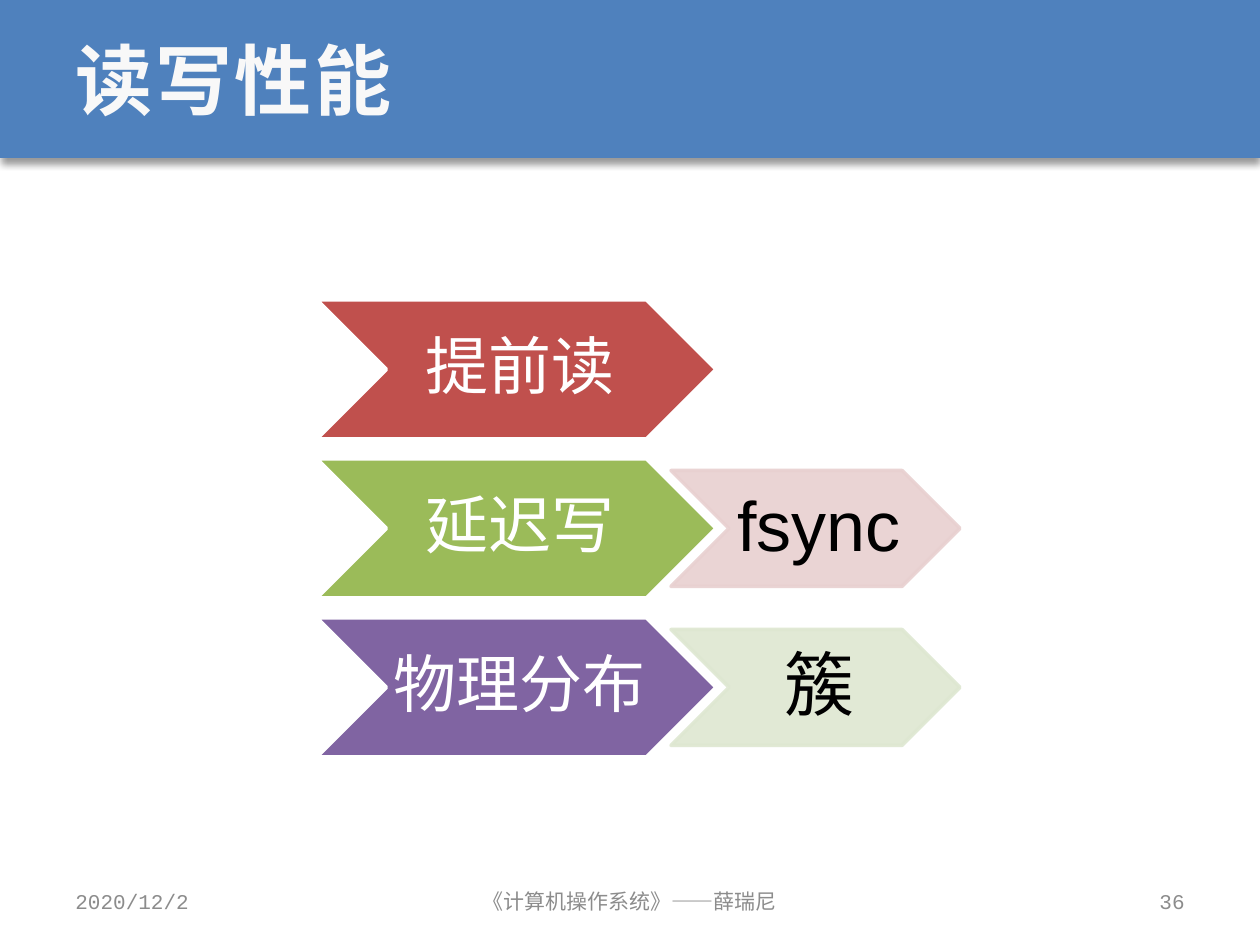
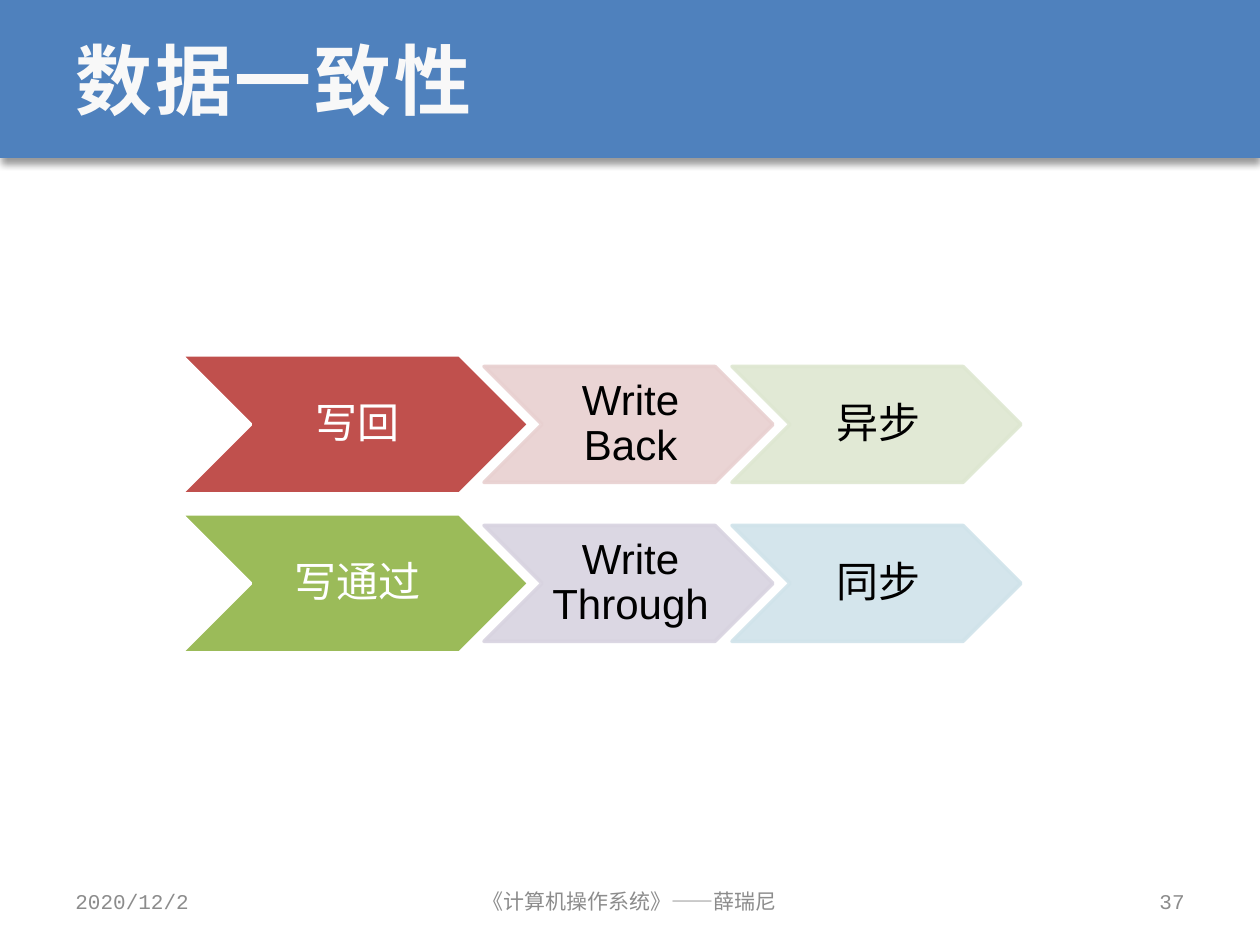
from lxml import etree
from pptx import Presentation
from pptx.dml.color import RGBColor
from pptx.enum.shapes import MSO_SHAPE as Shape
from pptx.enum.text import MSO_ANCHOR as Anchor, PP_ALIGN as Align
from pptx.oxml import parse_xml
from pptx.oxml.ns import nsdecls, qn
from pptx.util import Emu, Pt

COLORS = {
    "band": "4F81BD", "title": "F8F8F8", "footer": "8C8C8C",
    "white": "FFFFFF", "black": "000000",
    "red": "C0504D", "green": "9BBB59", "purple": "8064A2",
    "pale_red": "E8D0D0", "pale_green": "DEE7D1",
    "pale_purple": "D8D3E0", "pale_blue": "D0E3EA",
}
PX_PER_INCH = 126
SLIDE_W, SLIDE_H = 1260, 945
BAND_H, MARGIN = 158, 63
HEAD_H, DETAIL_W, DETAIL_H = 139, 289, 116
ROW_STEP = 159
HEAD_OVERLAP, DETAIL_OVERLAP = 45, 41

TITLE_FONT = {"name": "Courier New", "size": Pt(44), "bold": True}
FOOTER_FONT = {"name": "Courier New", "size": Pt(12)}
BAND_SHADOW = (
    f'<a:effectLst {nsdecls("a")}>'
    '<a:outerShdw blurRad="50800" dist="38100" dir="5400000" rotWithShape="0">'
    f'<a:srgbClr val="{COLORS["black"]}"><a:alpha val="40000"/></a:srgbClr>'
    '</a:outerShdw></a:effectLst>'
)


def px(n):
    return Emu(round(n * 914400 / PX_PER_INCH))


def rgb(name):
    return RGBColor.from_string(COLORS[name])


def set_attrs(obj, values):
    for key, value in values.items():
        setattr(obj, key, value)


def place(shape, box):
    set_attrs(shape, dict(zip(("left", "top", "width", "height"), map(px, box))))


def write(tf, text, font, color, align):
    tf.word_wrap = True
    tf.vertical_anchor = Anchor.MIDDLE
    p = tf.paragraphs[0]
    p.alignment = align
    r = p.add_run()
    r.text = text
    set_attrs(r.font, font)
    r.font.color.rgb = rgb(color)
    return r


def set_alpha(fill_parent, percent):
    """Make the solid colour below fill_parent partly transparent."""
    color = fill_parent.find(qn("a:solidFill")).find(qn("a:srgbClr"))
    etree.SubElement(color, qn("a:alpha")).set("val", str(percent * 1000))


def add_title_band(s, title):
    band = s.shapes.add_shape(Shape.RECTANGLE, 0, 0, px(SLIDE_W), px(BAND_H))
    band.fill.solid()
    band.fill.fore_color.rgb = rgb("band")
    band.line.fill.background()
    band._element.spPr.append(parse_xml(BAND_SHADOW))
    s.shapes._spTree.insert(2, band._element)

    place(s.shapes.title, (MARGIN, 0, SLIDE_W - 2 * MARGIN, BAND_H))
    r = write(s.shapes.title.text_frame, title, TITLE_FONT, "title", Align.LEFT)
    r.font._element.set("spc", "150")


def add_footer(s, number):
    side_w, middle_w = 294, 400
    parts = (
        ("2020/12/2", MARGIN, side_w, Align.LEFT),
        ("《计算机操作系统》——薛瑞尼", (SLIDE_W - middle_w) // 2, middle_w, Align.CENTER),
        (str(number), SLIDE_W - MARGIN - side_w, side_w, Align.RIGHT),
    )
    for text, left, width, align in parts:
        tb = s.shapes.add_textbox(*map(px, (left, 876, width, 50)))
        write(tb.text_frame, text, FOOTER_FONT, "footer", align)


def add_chevron(s, box, text, size, fill, line, color, alpha=None):
    sp = s.shapes.add_shape(Shape.CHEVRON, *map(px, box))
    sp.shadow.inherit = False
    for paint, name in ((sp.fill, fill), (sp.line.fill, line)):
        paint.solid()
        paint.fore_color.rgb = rgb(name)
    sp.line.width = Pt(2)
    if alpha:
        spPr = sp._element.spPr
        set_alpha(spPr, alpha)
        set_alpha(spPr.find(qn("a:ln")), alpha)

    tf = sp.text_frame
    set_attrs(tf, {"margin_left": Pt(size * 0.1), "margin_right": 0,
                   "margin_top": Pt(size * 0.05), "margin_bottom": Pt(size * 0.05)})
    write(tf, text, {"name": "Arial", "size": Pt(size)}, color, Align.CENTER)
    tf.paragraphs[0].line_spacing = 0.9


def add_chevron_list(s, left, top, head_w, head_size, detail_size, rows):
    """Stack rows of one strong chevron followed by paler, smaller ones."""
    for i, ((head, head_fill), *details) in enumerate(rows):
        y = top + i * ROW_STEP
        add_chevron(s, (left, y, head_w, HEAD_H), head, head_size,
                    head_fill, "white", "white")
        for j, (text, fill) in enumerate(details):
            x = left + head_w - HEAD_OVERLAP + j * (DETAIL_W - DETAIL_OVERLAP)
            box = (x, y + (HEAD_H - DETAIL_H) / 2, DETAIL_W, DETAIL_H)
            add_chevron(s, box, text, detail_size, fill, fill, "black", alpha=90)


def add_slide(prs, number, title, **chevrons):
    s = prs.slides.add_slide(prs.slide_layouts[5])
    add_title_band(s, title)
    add_footer(s, number)
    add_chevron_list(s, **chevrons)


def main():
    prs = Presentation()
    prs.slide_width, prs.slide_height = px(SLIDE_W), px(SLIDE_H)
    add_slide(prs, 36, "读写性能", left=317, top=300, head_w=399,
              head_size=36, detail_size=40, rows=(
                  [("提前读", "red")],
                  [("延迟写", "green"), ("fsync", "pale_red")],
                  [("物理分布", "purple"), ("簇", "pale_green")],
              ))
    add_slide(prs, 37, "数据一致性", left=181, top=355, head_w=348,
              head_size=24, detail_size=24, rows=(
                  [("写回", "red"), ("Write Back", "pale_red"), ("异步", "pale_green")],
                  [("写通过", "green"), ("Write Through", "pale_purple"), ("同步", "pale_blue")],
              ))
    prs.save("out.pptx")


if __name__ == "__main__":
    main()
